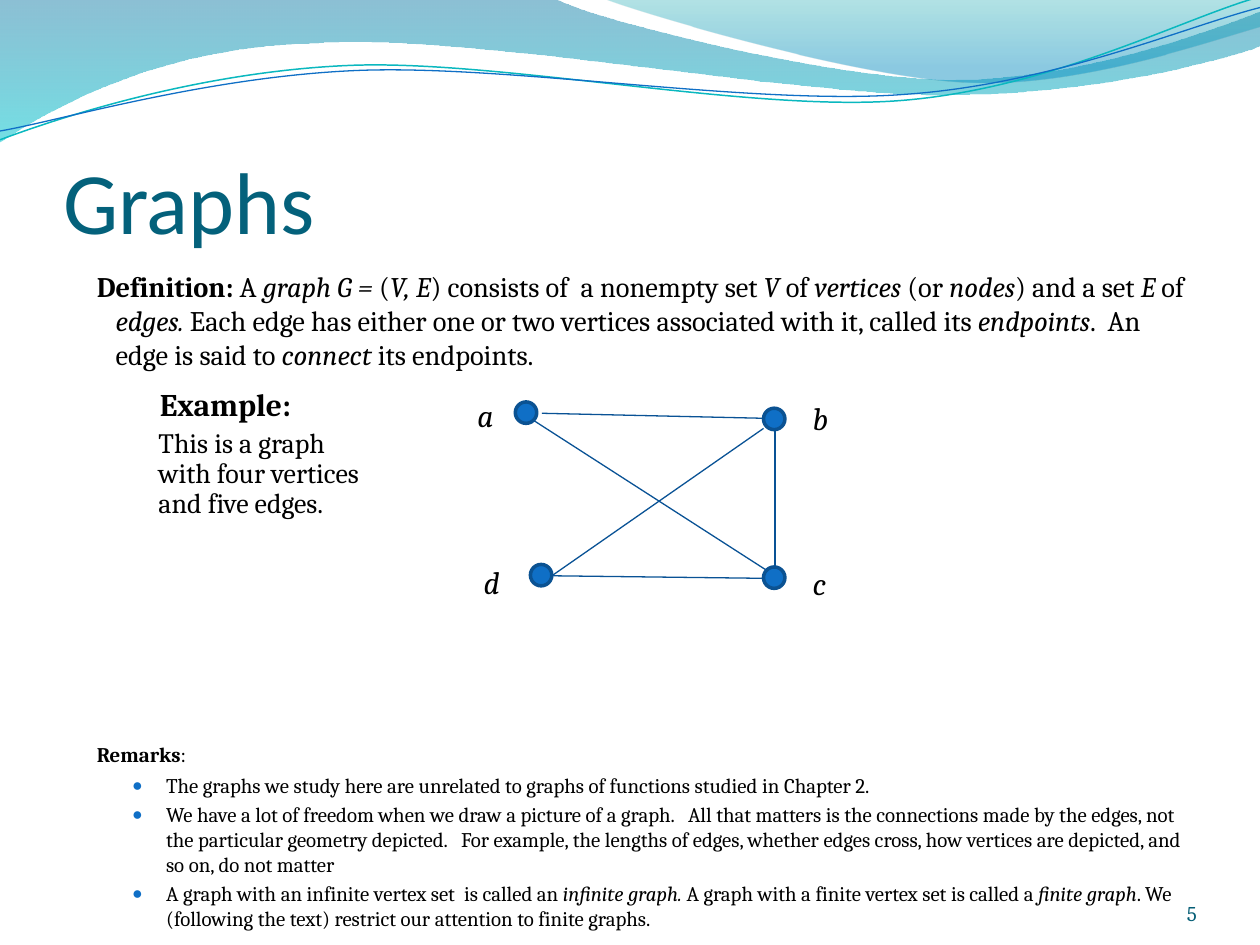
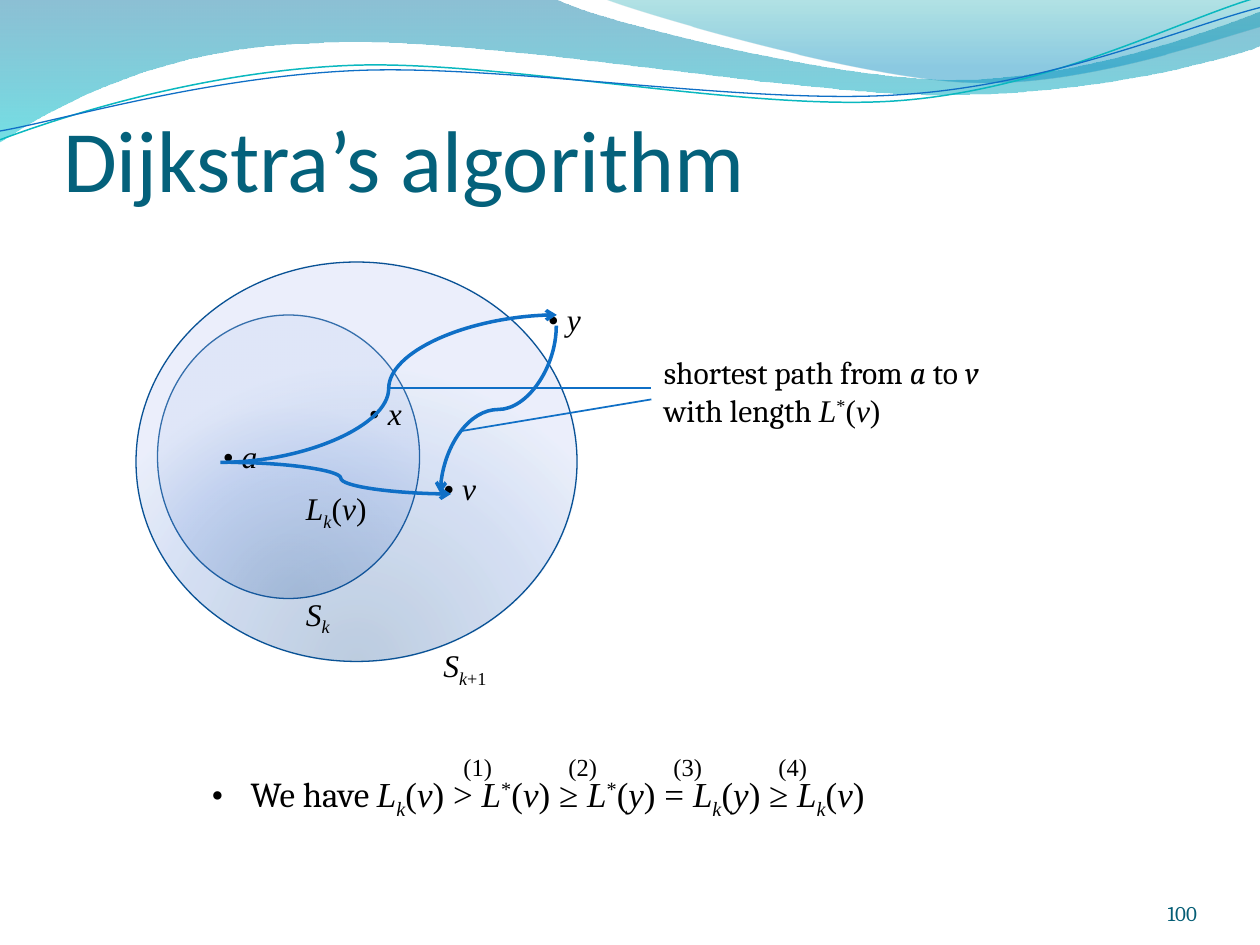
from dataclasses import dataclass
from typing import NamedTuple, Optional

from lxml import etree
from pptx import Presentation
from pptx import oxml
from pptx import util as u
from pptx.dml import color
from pptx.enum import shapes, text
from pptx.oxml import ns


@dataclass(frozen=True)
class Theme:
    ink: str = "000000"
    title: str = "04617B"
    number: str = "045D75"
    blue: str = "0F6FC6"
    teal: str = "0AB8BF"
    edge: str = "095295"
    vertex_rim: str = "0B5292"
    heading_font: str = "Calibri"
    body_font: str = "Cambria"
    math_font: str = "Times New Roman"
    title_size: float = 50
    formula_size: float = 20
    label_size: float = 18
    definition_size: float = 16.2
    example_size: float = 16
    step_size: float = 14
    number_size: float = 12
    remark_size: float = 11.9


THEME = Theme()


class Para(NamedTuple):
    """Text with toggles: | bold, _ italic, ~ subscript, ^ superscript, ` math font."""
    text: str
    size: float = THEME.label_size
    font: str = THEME.body_font
    tint: str = THEME.ink
    left: float = 0
    hang: float = 0
    bullet: str = ""
    bullet_tint: str = THEME.ink
    bullet_percent: int = 100
    format: Optional[dict] = None


class Label(NamedTuple):
    text: str
    left: float
    top: float
    width: float


class Vertex(NamedTuple):
    left: float
    top: float
    label: Label


class Line(NamedTuple):
    start: tuple
    end: tuple


class Stop(NamedTuple):
    position: int
    tint: str
    opacity: int


class Wave(NamedTuple):
    """An outline whose steps are line ends (2 numbers) or cubic curves (6 numbers)."""
    start: tuple
    steps: list
    stops: tuple = ()
    tint: str = ""
    weight: float = 0


WAVES = [
    Wave((0, 0), [(4.4, -0.01), (4.76, 0.17, 6.64, 0.63, 7.58, 0.63),
                  (8.53, 0.63, 9.58, 0.26, 10, 0.09), (10.01, 0.36),
                  (9.83, 0.44, 8.7, 0.76, 7.46, 0.75), (6.22, 0.75, 3.82, 0.28, 2.57, 0.34),
                  (1.29, 0.36, 0.46, 0.83, -0.01, 1.13)],
         stops=(Stop(0, "0074A1", 45), Stop(100, "00C6CF", 55))),
    Wave((4.79, -0.01), [(5.09, 0.11, 6.82, 0.62, 7.69, 0.65),
                         (8.56, 0.69, 9.61, 0.32, 10, 0.21), (10, 0)],
         stops=(Stop(0, "00A1A9", 30), Stop(80, "008BBF", 45))),
    Wave((0, 1.11), [(0.48, 0.93, 1.58, 0.57, 2.77, 0.52), (3.95, 0.47, 5.93, 0.89, 7.13, 0.8),
                     (8.33, 0.71, 9.38, 0.15, 9.98, -0.02)], tint=THEME.teal, weight=0.85),
    Wave((0, 1.04), [(0.47, 0.96, 1.64, 0.61, 2.83, 0.56), (4.03, 0.51, 5.97, 0.84, 7.17, 0.75),
                     (8.36, 0.67, 9.41, 0.21, 10, 0.06)], tint=THEME.blue, weight=0.75),
]


def rgb(value: str) -> color.RGBColor:
    return color.RGBColor.from_string(value)


def apply(target, values: dict) -> None:
    for name, value in values.items():
        setattr(target, name, value)


def inches(*values: float) -> list:
    return [u.Inches(value) for value in values]


def set_line(shape, tint: str, weight: float) -> None:
    shape.line.color.rgb = rgb(tint)
    shape.line.width = u.Pt(weight)


def fill_gradient(shape, stops, direction: str) -> None:
    marks = "".join(f'<a:gs pos="{stop.position * 1000}"><a:srgbClr val="{stop.tint}">'
                    f'<a:alpha val="{stop.opacity * 1000}"/></a:srgbClr></a:gs>' for stop in stops)
    shape.fill.background()
    properties = shape.element.spPr
    properties.replace(properties.find(ns.qn("a:noFill")), oxml.parse_xml(
        f'<a:gradFill {ns.nsdecls("a")} rotWithShape="1"><a:gsLst>{marks}</a:gsLst>'
        f'{direction}</a:gradFill>'))


def bend(shape, steps: list) -> None:
    """Turn the straight segments of a freeform into the cubic curves among its steps."""
    segments = list(shape.element.iter(ns.qn("a:lnTo")))
    for segment, step in zip(segments, steps):
        if len(step) == 6:
            curve = etree.Element(ns.qn("a:cubicBezTo"))
            for x, y in zip(inches(*step[::2]), inches(*step[1::2])):
                etree.SubElement(curve, ns.qn("a:pt"), x=str(x - shape.left), y=str(y - shape.top))
            segment.getparent().replace(segment, curve)


def add_wave(page, wave: Wave):
    builder = page.shapes.build_freeform(*inches(*wave.start))
    builder.add_line_segments([inches(*step[-2:]) for step in wave.steps], close=bool(wave.stops))
    shape = builder.convert_to_shape()
    bend(shape, wave.steps)
    if wave.stops:
        fill_gradient(shape, wave.stops, '<a:lin ang="5400000" scaled="1"/>')
        shape.line.fill.background()
    else:
        shape.fill.background()
        set_line(shape, wave.tint, wave.weight)
    shape.shadow.inherit = False
    return shape


def move_waves_to_layout(page) -> None:
    """Draw the waves on a page, then hand them to its layout so that all pages share them."""
    tree = page.slide_layout.element.find(f'{ns.qn("p:cSld")}/{ns.qn("p:spTree")}')
    for index, wave in enumerate(WAVES):
        element = add_wave(page, wave).element
        next(element.iter(ns.qn("p:cNvPr"))).set("id", str(100 + index))
        tree.insert(2 + index, element)


def write_spans(para, content: Para) -> None:
    active, piece = set(), ""
    for letter in content.text + "\0":
        if letter not in "|_~^`\0":
            piece += letter
            continue
        if piece:
            span = para.add_run()
            span.text = piece
            apply(span.font, {"size": u.Pt(content.size), "bold": "|" in active,
                              "italic": "_" in active,
                              "name": THEME.math_font if "`" in active else content.font})
            span.font.color.rgb = rgb(content.tint)
            for mark, shift in {"~": "-25000", "^": "30000"}.items():
                if mark in active:
                    span._r.get_or_add_rPr().set("baseline", shift)
        active, piece = active ^ {letter}, ""


def write(frame, contents: list) -> None:
    for index, content in enumerate(contents):
        para = frame.add_paragraph() if index else frame.paragraphs[0]
        properties = para._p.get_or_add_pPr()
        properties.set("marL", str(u.Inches(content.left)))
        properties.set("indent", str(u.Inches(-content.hang)))
        if content.bullet:
            tint = etree.SubElement(properties, ns.qn("a:buClr"))
            etree.SubElement(tint, ns.qn("a:srgbClr"), val=content.bullet_tint)
            etree.SubElement(properties, ns.qn("a:buSzPct"),
                             val=str(content.bullet_percent * 1000))
            etree.SubElement(properties, ns.qn("a:buFont"), typeface=THEME.math_font)
            etree.SubElement(properties, ns.qn("a:buChar"), char=content.bullet)
        apply(para, content.format or {})
        write_spans(para, content)


def add_text(page, place: tuple, contents: list, **frame_format) -> None:
    box = page.shapes.add_textbox(*inches(*place))
    apply(box.text_frame, {"word_wrap": True,
                           "auto_size": text.MSO_AUTO_SIZE.SHAPE_TO_FIT_TEXT, **frame_format})
    write(box.text_frame, contents)


def add_label(page, label: Label, font: str = THEME.math_font) -> None:
    add_text(page, (label.left, label.top, label.width, 0.4), [Para(label.text, font=font)])


def add_ellipse(page, place: tuple, tint: str, weight: float):
    ellipse = page.shapes.add_shape(shapes.MSO_SHAPE.OVAL, *inches(*place))
    set_line(ellipse, tint, weight)
    ellipse.shadow.inherit = False
    return ellipse


def add_line(page, line: Line, tint: str, weight: float,
             kind=shapes.MSO_CONNECTOR.STRAIGHT):
    connector = page.shapes.add_connector(kind, *inches(*line.start, *line.end))
    set_line(connector, tint, weight)
    etree.SubElement(connector.element.spPr, ns.qn("a:effectLst"))
    return connector


def add_path_arrow(page, line: Line, turn: int = 0) -> None:
    arrow = add_line(page, line, THEME.blue, 2, shapes.MSO_CONNECTOR.CURVE)
    properties = arrow.element.spPr
    etree.SubElement(properties.find(ns.qn("a:ln")), ns.qn("a:tailEnd"), type="arrow")
    if turn:
        properties.find(ns.qn("a:xfrm")).set("rot", str(turn * 60000))


def add_page(deck, title: str, top: float, height: float):
    page = deck.slides.add_slide(deck.slide_layouts[5])
    heading = page.shapes.title
    apply(heading, dict(zip(("left", "top", "width", "height"), inches(0.5, top, 9, height))))
    apply(heading.text_frame, {**BOTTOM, "margin_top": u.Inches(0.05), "word_wrap": True})
    write(heading.text_frame, [Para(title, THEME.title_size, THEME.heading_font, THEME.title,
                                    format={"alignment": text.PP_ALIGN.LEFT})])
    return page


BOTTOM = {"vertical_anchor": text.MSO_ANCHOR.BOTTOM, "auto_size": text.MSO_AUTO_SIZE.NONE,
          "margin_left": 0, "margin_right": 0, "margin_bottom": 0}


def add_number(page, number: int) -> None:
    add_text(page, (8.67, 6.95, 0.83, 0.4),
             [Para(str(number), THEME.number_size, tint=THEME.number,
                   format={"alignment": text.PP_ALIGN.RIGHT})], margin_top=0, **BOTTOM)


def build_graphs(deck) -> None:
    page = add_page(deck, "Graphs", 0.75, 1.25)
    move_waves_to_layout(page)
    definition = Para(
        "|Definition:| A _graph G = _(_V, E_) consists of  a nonempty set _V_ of _vertices _"
        "(or _nodes_) and a set _E_ of _edges. _Each edge has either one or two vertices "
        "associated with it, called its _endpoints_.  An edge is said to _connect_ its endpoints.",
        THEME.definition_size, left=0.3, hang=0.15)
    heading = Para("|Remarks|:", THEME.remark_size, left=0.15,
                   format={"space_before": u.Pt(211.5), "space_after": u.Pt(1)})
    remarks = [
        "The graphs we study here are unrelated to graphs of functions studied in Chapter 2.",
        "We have a lot of freedom when we draw a picture of a graph.   All that matters is the "
        "connections made by the edges, not the particular geometry depicted.   For example, the "
        "lengths of edges, whether edges cross, how vertices are depicted, and so on, do not matter",
        "A graph with an infinite vertex set  is called an _infinite graph. _A graph with a finite "
        "vertex set is called a _finite graph_. We (following the text) restrict our attention "
        "to finite graphs.",
    ]
    add_text(page, (0.52, 2.09, 9, 4.8), [definition, heading] + [
        Para(remark, THEME.remark_size, left=0.7, hang=0.27, bullet="●",
             bullet_tint=THEME.blue, bullet_percent=85,
             format={"space_before": u.Pt(2.4)}) for remark in remarks],
        auto_size=text.MSO_AUTO_SIZE.NONE)

    vertices = [Vertex(4.09, 3.19, Label("_a_", 3.69, 3.09, 0.35)),
                Vertex(6.06, 3.24, Label("_b_", 6.35, 3.12, 0.35)),
                Vertex(6.06, 4.5, Label("_c_", 6.35, 4.43, 0.35)),
                Vertex(4.21, 4.48, Label("_d_", 3.74, 4.42, 0.35))]
    for vertex in vertices:
        dot = add_ellipse(page, (vertex.left, vertex.top, 0.17, 0.17), THEME.vertex_rim, 2)
        dot.fill.solid()
        dot.fill.fore_color.rgb = rgb(THEME.blue)
        add_label(page, vertex.label, THEME.body_font)
    for edge in (Line((4.24, 3.34), (6.09, 4.53)), Line((4.38, 4.57), (6.06, 3.4)),
                 Line((4.3, 3.28), (6.06, 3.32)), Line((6.15, 3.4), (6.15, 4.5)),
                 Line((4.38, 4.57), (6.06, 4.59))):
        add_line(page, edge, THEME.edge, 0.75)

    add_text(page, (1.17, 3.01, 1.38, 0.4), [Para("|Example:|")])
    add_text(page, (1.16, 3.36, 1.83, 1.06),
             [Para("This is a graph with four vertices and five edges.", THEME.example_size,
                   format={"line_spacing": u.Pt(17)})])
    add_number(page, 5)


def build_dijkstra(deck) -> None:
    page = add_page(deck, "Dijkstra’s algorithm", 0.77, 0.9)
    for place, opacity in (((1.25, 2.5, 2.08, 2.25), 20), ((1.08, 2.08, 3.5, 3.17), 26)):
        region = add_ellipse(page, place, THEME.edge, 0.75)
        stops = [Stop(0, "003D87", opacity), Stop(68, "668DD7", opacity),
                 Stop(100, "B3C4EF", opacity)]
        fill_gradient(region, stops, '<a:path path="circle"><a:fillToRect l="50000" t="130000" '
                                     'r="50000" b="-30000"/></a:path>')

    for label in (Label("_S~k_+1~", 3.42, 5.08, 0.58), Label("_S~k~_", 2.33, 4.67, 0.58),
                  Label("• _x_", 2.83, 3.08, 0.5), Label("• _a_", 1.67, 3.42, 0.5),
                  Label("• _y_", 4.25, 2.33, 0.5), Label("• _v_", 3.42, 3.67, 0.5),
                  Label("_L~k~_(_v_)", 2.33, 3.83, 0.75)):
        add_label(page, label)
    add_path_arrow(page, Line((1.75, 3.67), (4.42, 2.5)))
    add_path_arrow(page, Line((1.83, 3.67), (3.58, 3.92)))
    add_path_arrow(page, Line((3.29, 2.79), (4.62, 3.71)), turn=90)
    for pointer in (Line((3.08, 3.08), (5.17, 3.08)), Line((3.67, 3.42), (5.17, 3.17))):
        add_line(page, pointer, THEME.blue, 1)

    add_text(page, (5.17, 2.75, 2.96, 0.71),
             [Para("shortest path from _a_ to _v_"), Para("with length `_L_^*^(_v_)")],
             word_wrap=False)
    add_text(page, (1.58, 6.08, 6.25, 0.44),
             [Para("We have `_L~k~_(_v_) > _L_^*^(_v_) ≥ _L_^*^(_y_) = _L~k~_(_y_) ≥ _L~k~_(_v_)",
                   THEME.formula_size, left=0.31, hang=0.31, bullet="•")])
    for index in range(4):
        add_text(page, (3.58 + index * 2.5 / 3, 5.92, 0.43, 0.34),
                 [Para(f"({index + 1})", THEME.step_size, THEME.math_font)], word_wrap=False)
    add_number(page, 100)


def main() -> None:
    deck = Presentation()
    deck.slide_width, deck.slide_height = inches(10, 7.5)
    build_graphs(deck)
    build_dijkstra(deck)
    deck.save("out.pptx")


if __name__ == "__main__":
    main()
